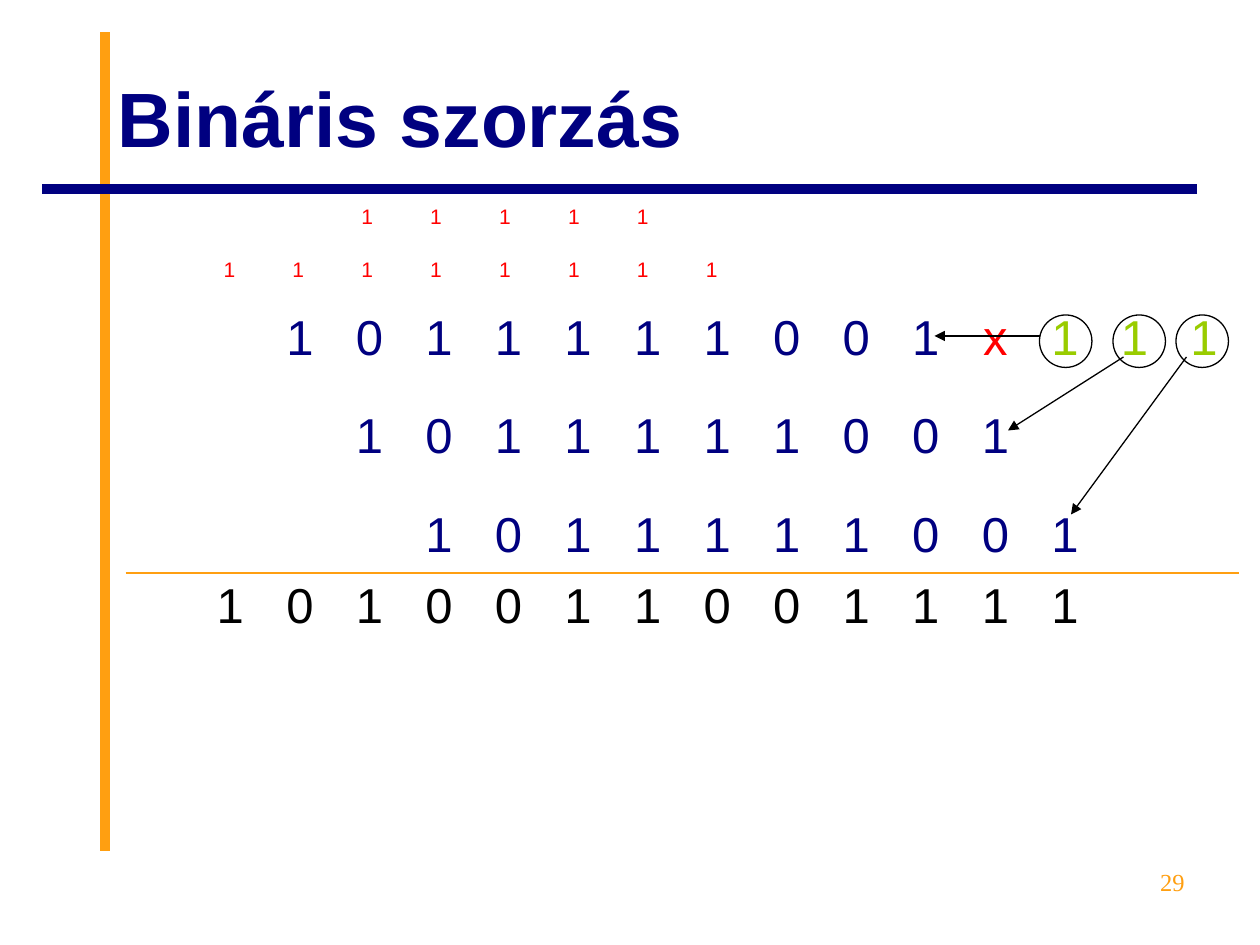
from lxml.etree import SubElement
from pptx import Presentation
from pptx.dml.color import RGBColor
from pptx.enum.shapes import MSO_CONNECTOR as Connector, MSO_SHAPE as Shape
from pptx.enum.text import MSO_ANCHOR as Anchor, MSO_AUTO_SIZE as AutoSize, PP_ALIGN as Align
from pptx.oxml import parse_xml
from pptx.oxml.ns import nsdecls, qn
from pptx.util import Pt

NAVY = RGBColor(0x00, 0x00, 0x80)
ORANGE = RGBColor(0xFF, 0x9F, 0x11)
RED = RGBColor(0xFF, 0x00, 0x00)
GREEN = RGBColor(0x99, 0xCC, 0x00)
BLACK = RGBColor(0x00, 0x00, 0x00)
WHITE = RGBColor(0xFF, 0xFF, 0xFF)

PLAIN_TABLE_STYLE = "{2D5ABB26-0587-4C30-8999-92F81FD0307C}"
COLUMNS = 16
GRID_LEFT = 72
CIRCLE_SIZE = 30

# One character per cell; a space is an empty cell.
UPPER_CARRIES = "   11111"
LOWER_CARRIES = " 11111111"
MULTIPLICATION = [
    "  1011111001x111",
    "   1011111001",
    "    1011111001",
    " 1010011001111",
]
SUM_ROW = 3


def style_font(para, name, size, color, bold=False):
    font = para.font
    font.name, font.size, font.bold = name, Pt(size), bold
    font.color.rgb = color


def add_line(slide, start, end, color, width, arrow=False):
    line = slide.shapes.add_connector(Connector.STRAIGHT, *map(Pt, (*start, *end)))
    line.line.color.rgb = color
    line.line.width = Pt(width)
    if arrow:
        SubElement(line.line._get_or_add_ln(), qn("a:tailEnd"), type="triangle")
    SubElement(line._element.spPr, qn("a:effectLst"))


def add_circle(slide, left, top):
    circle = slide.shapes.add_shape(
        Shape.OVAL, Pt(left), Pt(top), Pt(CIRCLE_SIZE), Pt(CIRCLE_SIZE))
    circle.shadow.inherit = False
    circle.fill.background()
    circle.line.color.rgb = BLACK
    circle.line.width = Pt(0.75)


def set_borders(cell, **edges):
    """Edges L, R, T and B each map to a (colour, width) pair."""
    properties = cell._tc.get_or_add_tcPr()
    for index, edge in enumerate("LRTB"):
        color, width = edges.get(edge, (WHITE, 0.45))
        properties.insert(index, parse_xml(
            f'<a:ln{edge} {nsdecls("a")} w="{Pt(width)}"><a:solidFill>'
            f'<a:srgbClr val="{color}"/></a:solidFill></a:ln{edge}>'))


def add_digit_table(slide, top, column_width, row_heights, rows, size, color_of):
    """Spread each string over a row; color_of(row, column) gives the text colour."""
    frame = slide.shapes.add_table(
        len(rows), COLUMNS, Pt(GRID_LEFT), Pt(top),
        Pt(column_width * COLUMNS), Pt(sum(row_heights)))
    table = frame.table
    table.first_row = table.horz_banding = False
    table._tbl.tblPr.find(qn("a:tableStyleId")).text = PLAIN_TABLE_STYLE
    for column in table.columns:
        column.width = Pt(column_width)
    for row_index, (digits, height) in enumerate(zip(rows, row_heights)):
        table.rows[row_index].height = Pt(height)
        for column_index, digit in enumerate(digits.ljust(COLUMNS)):
            cell = table.cell(row_index, column_index)
            cell.fill.background()
            para = cell.text_frame.paragraphs[0]
            para.alignment = Align.CENTER
            style_font(para, "Arial", size, color_of(row_index, column_index))
            if digit == " ":
                para._p.get_or_add_endParaRPr().set("sz", str(size * 100))
            else:
                para.add_run().text = digit
    return table


def add_title(slide, text):
    title = slide.shapes.title
    title.left, title.top, title.width, title.height = map(Pt, (60, 21.6, 624, 90))
    frame = title.text_frame
    frame.text = text
    frame.auto_size = AutoSize.NONE
    frame.vertical_anchor = Anchor.MIDDLE
    para = frame.paragraphs[0]
    para.alignment = Align.LEFT
    style_font(para, "Arial", 44, NAVY, bold=True)


def add_page_number(slide, number):
    box = slide.shapes.add_textbox(Pt(516), Pt(492), Pt(168), Pt(37.5))
    box.text_frame.word_wrap = True
    para = box.text_frame.paragraphs[0]
    para.text = number
    para.alignment = Align.RIGHT
    style_font(para, "Times New Roman", 14, ORANGE)


def multiplication_color(row, column):
    if row == SUM_ROW:
        return BLACK
    if row == 0 and column >= 12:
        return RED if column == 12 else GREEN
    return NAVY


def add_multiplication(slide):
    table = add_digit_table(slide, 174, 39.75, [56.4, 56.4, 40.8, 77.5],
                            MULTIPLICATION, 28, multiplication_color)
    rule = (ORANGE, 1.08)
    edges_by_row = {SUM_ROW - 1: {"B": rule}, SUM_ROW: {"T": rule}}
    for row_index, row in enumerate(table.rows):
        for cell in row.cells:
            set_borders(cell, **edges_by_row.get(row_index, {}))


def main():
    deck = Presentation()
    deck.slide_width, deck.slide_height = Pt(720), Pt(540)
    slide = deck.slides.add_slide(deck.slide_layouts[5])

    add_line(slide, (60, 486), (60, 18), ORANGE, 5.5)
    add_line(slide, (684, 108), (24, 108), NAVY, 5.5)
    add_title(slide, "Bináris szorzás")

    add_multiplication(slide)
    for top, carries in ((144, LOWER_CARRIES), (114, UPPER_CARRIES)):
        add_digit_table(slide, top, 39.38, [21.6], [carries], 12,
                        lambda row, column: RED)

    for left in (594, 636, 672):
        add_circle(slide, left, 180)
    for start, end in (((594, 192), (534, 192)),
                       ((642, 204), (576, 246)),
                       ((678, 204), (612, 294))):
        add_line(slide, start, end, BLACK, 0.75, arrow=True)

    add_page_number(slide, "29")
    deck.save("out.pptx")


if __name__ == "__main__":
    main()
